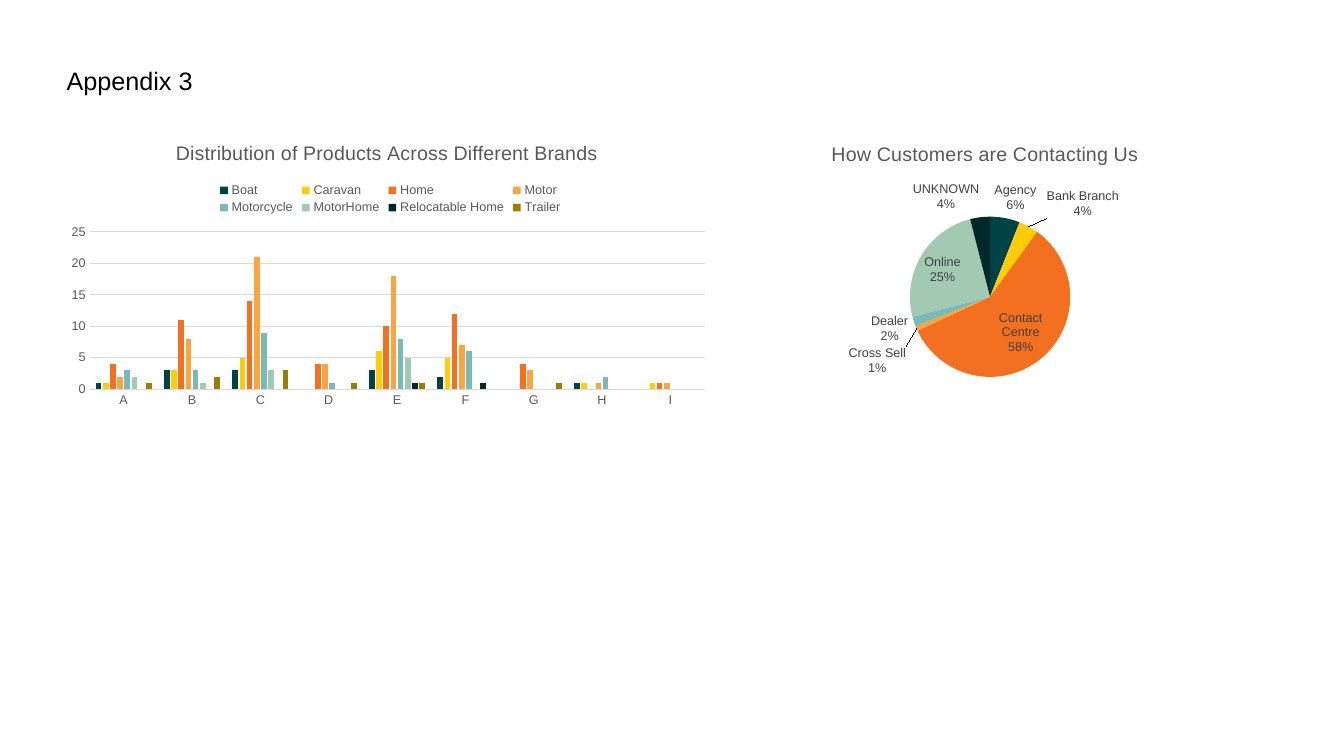
from copy import deepcopy

from lxml import etree
from pptx import Presentation
from pptx.chart.data import CategoryChartData
from pptx.dml.color import RGBColor
from pptx.enum import chart as c, text
from pptx.oxml.ns import qn
from pptx.util import Inches, Pt

BLACK = RGBColor(0x00, 0x00, 0x00)
TEXT_GREY = RGBColor(0x59, 0x59, 0x59)
LABEL_GREY = RGBColor(0x40, 0x40, 0x40)
LINE_GREY = RGBColor(0xD9, 0xD9, 0xD9)
PALETTE = [RGBColor.from_string(value) for value in (
    "004346", "FFCD05", "F37021", "FAA53F", "79BAB8", "A2C9B2", "00282A", "9C7D00")]

BRANDS = "ABCDEFGHI"
PRODUCTS = {
    "Boat": (1, 3, 3, None, 3, 2, None, 1, None),
    "Caravan": (1, 3, 5, None, 6, 5, None, 1, 1),
    "Home": (4, 11, 14, 4, 10, 12, 4, None, 1),
    "Motor": (2, 8, 21, 4, 18, 7, 3, 1, 1),
    "Motorcycle": (3, 3, 9, 1, 8, 6, None, 2, None),
    "MotorHome": (2, 1, 3, None, 5, None, None, None, None),
    "Relocatable Home": (None, None, None, None, 1, 1, None, None, None),
    "Trailer": (1, 2, 3, 1, 1, None, 1, None, None),
}
CONTACTS = {"Agency": 6, "Bank Branch": 4, "Contact Centre": 58, "Cross Sell": 1,
            "Dealer": 2, "Online": 25, "UNKNOWN": 4}
LABEL_OFFSETS = {1: (0.03, -0.01), 3: (-0.01, 0.05)}


def place(element, index, inner=False, **fractions):
    """Give a chart part a manual layout, in fractions of the chart's size."""
    for old_layout in element.findall(qn("c:layout")):
        element.remove(old_layout)
    layout = etree.Element(qn("c:layout"))
    manual = etree.SubElement(layout, qn("c:manualLayout"))
    settings = {"layoutTarget": "inner"} if inner else {}
    if "w" in fractions:
        settings.update(xMode="edge", yMode="edge")
    for name, value in {**settings, **fractions}.items():
        etree.SubElement(manual, qn(f"c:{name}")).set("val", str(value))
    element.insert(index, layout)


def add_titled_chart(kind, data, left, width, height, title):
    frame = slide.shapes.add_chart(
        kind, Inches(left), Inches(1.25), Inches(width), Inches(height), data)
    chart = frame.chart
    chart.font.name, chart.font.size = "Arial", Pt(10)
    chart.font.color.rgb = BLACK
    chart.has_title = True
    chart.chart_title.include_in_layout = False
    chart.chart_title.text_frame.text = title
    font = chart.chart_title.text_frame.paragraphs[0].runs[0].font
    font.name, font.size, font.bold = "Arial", Pt(14), False
    font.color.rgb = TEXT_GREY
    return chart


presentation = Presentation()
presentation.slide_width = Inches(13.33)
presentation.slide_height = Inches(7.5)
slide = presentation.slides.add_slide(presentation.slide_layouts[5])

# Heading
heading = slide.shapes.title
heading.left, heading.top = Inches(0.56), Inches(0.6)
heading.width, heading.height = Inches(1.46), Inches(0.4)
heading.text_frame.text = "Appendix 3"
heading.text_frame.word_wrap = False
heading.text_frame.vertical_anchor = text.MSO_ANCHOR.TOP
paragraph = heading.text_frame.paragraphs[0]
paragraph.alignment = text.PP_ALIGN.LEFT
font = paragraph.runs[0].font
font.name, font.size = "Arial", Pt(18)
font.color.rgb = BLACK

# Products by brand
product_data = CategoryChartData()
product_data.categories = BRANDS
for product, counts in PRODUCTS.items():
    product_data.add_series(product, counts)
columns = add_titled_chart(c.XL_CHART_TYPE.COLUMN_CLUSTERED, product_data, 0.56, 6.56, 2.84,
                           "Distribution of Products Across Different Brands")
plot = columns.plots[0]
plot.gap_width, plot.overlap, plot.vary_by_categories = 219, -27, False
for series, color in zip(plot.series, PALETTE):
    series.format.fill.solid()
    series.format.fill.fore_color.rgb = color
    series.invert_if_negative = False

columns.has_legend = True
columns.legend.position = c.XL_LEGEND_POSITION.TOP
columns.legend.include_in_layout = False
category_axis, value_axis = columns.category_axis, columns.value_axis
for axis in (category_axis, value_axis):
    axis.major_tick_mark = axis.minor_tick_mark = c.XL_TICK_MARK.NONE
for font in (category_axis.tick_labels.font, value_axis.tick_labels.font, columns.legend.font):
    font.name, font.size = "Arial", Pt(9)
    font.color.rgb = TEXT_GREY
value_axis.minimum_scale, value_axis.maximum_scale, value_axis.major_unit = 0, 25, 5
value_axis.format.line.fill.background()
value_axis.has_major_gridlines = True
for line in (category_axis.format.line, value_axis.major_gridlines.format.line):
    line.color.rgb = LINE_GREY
    line.width = Pt(0.75)

plot_area = columns.element.find(".//" + qn("c:plotArea"))
place(plot_area, 0, inner=True, x=0.05, y=0.37, w=0.93, h=0.55)
place(columns.legend.element if hasattr(columns.legend, "element")
      else columns.element.find(".//" + qn("c:legend")), 1, x=0.24, y=0.19, w=0.53, h=0.13)

# Contact channels
contact_data = CategoryChartData()
contact_data.categories = CONTACTS
contact_data.add_series("Series 1", CONTACTS.values())
pie = add_titled_chart(c.XL_CHART_TYPE.PIE, contact_data, 7.27, 5, 3,
                       "How Customers are Contacting Us")
pie.has_legend = False
pie.plots[0].vary_by_categories = True
channels = pie.plots[0].series[0]
for index in range(len(CONTACTS)):
    fill = channels.points[index].format.fill
    fill.solid()
    fill.fore_color.rgb = PALETTE[index]

labels = channels.data_labels
labels.show_value = False
labels.show_category_name = labels.show_percentage = True
labels.position = c.XL_LABEL_POSITION.BEST_FIT
labels.font.name, labels.font.size = "Arial", Pt(9)
labels.font.color.rgb = LABEL_GREY
labels_xml = pie.element.find(".//" + qn("c:dLbls"))
separator = etree.Element(qn("c:separator"))
separator.text = "\n"
last_flag = labels_xml.find(qn("c:showBubbleSize"))
if last_flag is None:
    last_flag = labels_xml.find(qn("c:showPercent"))
last_flag.addnext(separator)

shared_settings = [child for child in labels_xml if child.tag != qn("c:showLeaderLines")]
for position, (index, (x, y)) in enumerate(LABEL_OFFSETS.items()):
    label = etree.Element(qn("c:dLbl"))
    etree.SubElement(label, qn("c:idx")).set("val", str(index))
    label.extend(deepcopy(shared_settings))
    place(label, 1, x=x, y=y)
    labels_xml.insert(position, label)

place(pie.element.find(".//" + qn("c:plotArea")), 0, inner=True, x=0.35, y=0.3, w=0.32, h=0.53)

presentation.save("out.pptx")
